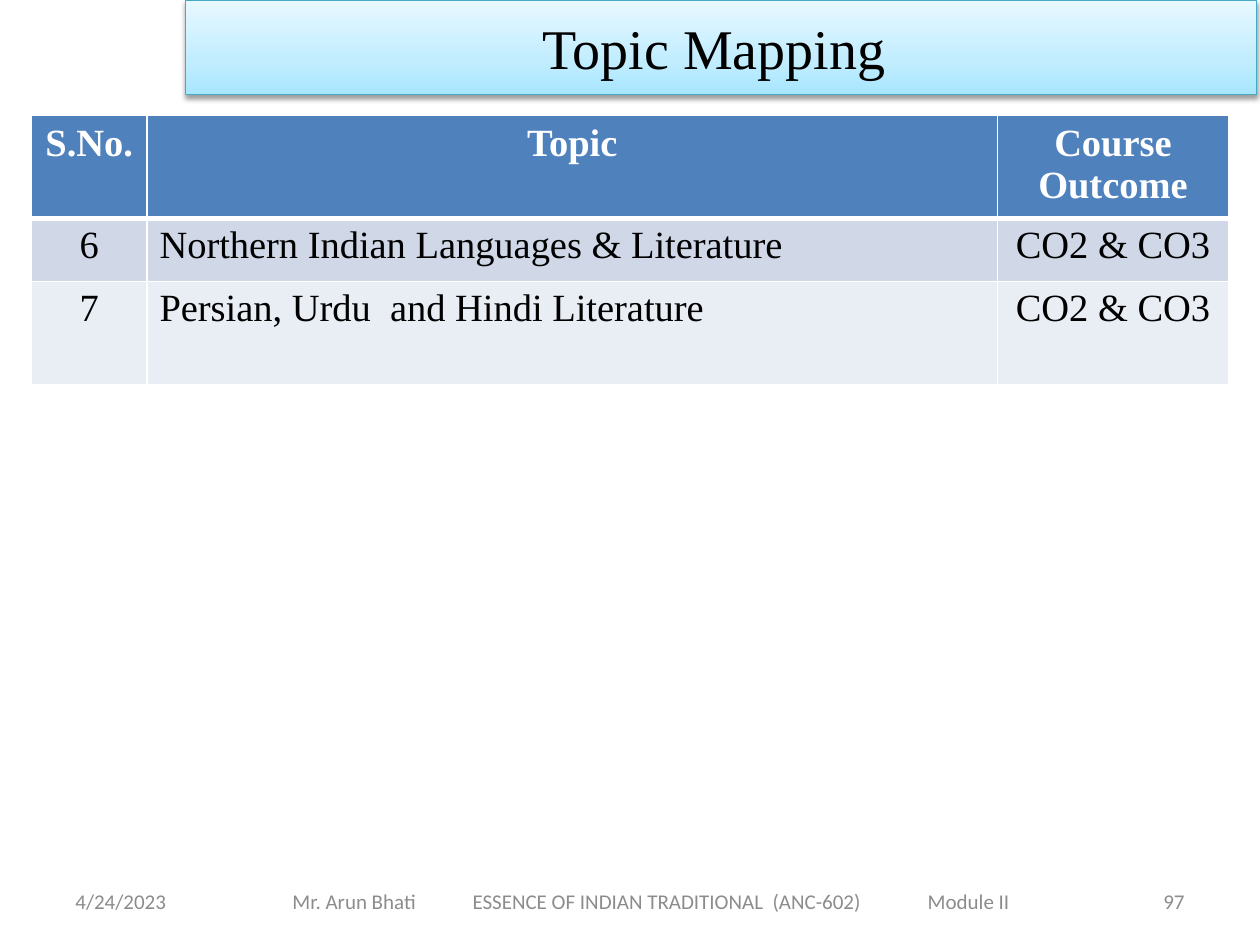
"""Build the Topic Mapping slide with its table and footer."""
from lxml import etree
from pptx import Presentation
from pptx.dml.color import RGBColor
from pptx.enum.text import MSO_ANCHOR, PP_ALIGN
from pptx.oxml import parse_xml
from pptx.oxml.ns import nsdecls, qn
from pptx.util import Inches, Pt

LEFT, MID, RIGHT, JUST = PP_ALIGN.LEFT, PP_ALIGN.CENTER, PP_ALIGN.RIGHT, PP_ALIGN.JUSTIFY
CENTER = MSO_ANCHOR.MIDDLE
HUES = {
    "ink": "000000", "paper": "FFFFFF", "grey": "8C8C8C", "edge": "46AAC5",
    "head": "4F81BD", "odd": "D0D8E8", "even": "E9EDF4",
    "deep": "A7E6FF", "soft": "C1EDFF", "pale": "E7F8FF",
}
SERIF, SANS = "Times New Roman", "Calibri"

deck = Presentation()
deck.slide_width, deck.slide_height = Inches(10), Inches(7.5)
slide = deck.slides.add_slide(deck.slide_layouts[5])
UNIT = deck.slide_width / 120


def grid(*steps):
    """Turn grid steps into lengths."""
    return [round(step * UNIT) for step in steps]


def style(para, face, size, hue, align, bold=False):
    """Align a paragraph and format its runs."""
    para.alignment = align
    for run in para.runs:
        run.font.name, run.font.size, run.font.bold = face, Pt(size), bold
        run.font.color.rgb = RGBColor.from_string(HUES[hue])


title = slide.shapes.title
title.left, title.top, title.width, title.height = grid(17.67, 0, 102, 9)
stops = "".join(
    f'<a:gs pos="{share * 1000}"><a:srgbClr val="{HUES[hue]}"/></a:gs>'
    for share, hue in ((0, "deep"), (35, "soft"), (100, "pale"))
)
props = title.element.spPr
props.append(parse_xml(
    f'<a:gradFill {nsdecls("a")} rotWithShape="1"><a:gsLst>{stops}</a:gsLst>'
    '<a:lin ang="16200000" scaled="0"/></a:gradFill>'
))
title.line.color.rgb = RGBColor.from_string(HUES["edge"])
title.line.width = Pt(0.75)
props.append(parse_xml(
    f'<a:effectLst {nsdecls("a")}><a:outerShdw blurRad="{Pt(3.1)}" dist="{Pt(1.6)}" '
    f'dir="5400000" rotWithShape="0"><a:srgbClr val="{HUES["ink"]}">'
    '<a:alpha val="38000"/></a:srgbClr></a:outerShdw></a:effectLst>'
))
title.text_frame.text = "Topic Mapping "
title.text_frame.vertical_anchor = CENTER
style(title.text_frame.paragraphs[0], SERIF, 32, "ink", MID)

rows = [
    ("S.No.", "Topic", "Course Outcome"),
    ("6", "Northern Indian Languages & Literature", "CO2 & CO3"),
    ("7", "Persian, Urdu  and Hindi Literature", "CO2 & CO3"),
]
wide, high = grid(11, 81, 22), grid(9.8, 6, 9.8)
table = slide.shapes.add_table(3, 3, *grid(3, 11), sum(wide), sum(high)).table
for col, size in zip(table.columns, wide):
    col.width = size
for row, size in zip(table.rows, high):
    row.height = size

for y, words in enumerate(rows):
    top = y == 0
    for x, word in enumerate(words):
        cell = table.cell(y, x)
        cell.text_frame.text = word
        align = JUST if x == 1 and not top else MID
        style(cell.text_frame.paragraphs[0], SERIF, 22, "paper" if top else "ink", align, top)
        trim = cell._tc.get_or_add_tcPr()
        for side in "LRTB":
            thick = (y, side) in ((0, "B"), (1, "T"))
            line = etree.SubElement(trim, qn(f"a:ln{side}"), w=str(Pt(3 if thick else 1)))
            fill = etree.SubElement(line, qn("a:solidFill"))
            etree.SubElement(fill, qn("a:srgbClr"), val=HUES["paper"])
        cell.fill.solid()
        cell.fill.fore_color.rgb = RGBColor.from_string(HUES[("head", "odd", "even")[y]])

course = "Mr. Arun Bhati\tESSENCE OF INDIAN TRADITIONAL  (ANC-602)\tModule II"
notes = [
    ("4/24/2023", 6, 28, 1.2, LEFT, ()),
    (course, 21, 82, 6.85, LEFT, (17.15, 60.5)),
    ("97", 86, 28, 1.2, RIGHT, ()),
]
for words, left, width, inset, align, tabs in notes:
    frame = slide.shapes.add_textbox(*grid(left, 83.4, width, 4.8)).text_frame
    frame.word_wrap = True
    frame.vertical_anchor = CENTER
    frame.margin_left = grid(inset)[0]
    para = frame.paragraphs[0]
    para.text = words
    if tabs:
        stops = etree.SubElement(para._p.get_or_add_pPr(), qn("a:tabLst"))
        for spot in grid(*tabs):
            etree.SubElement(stops, qn("a:tab"), pos=str(spot), algn="l")
    style(para, SANS, 12, "grey", align)

deck.save("out.pptx")
